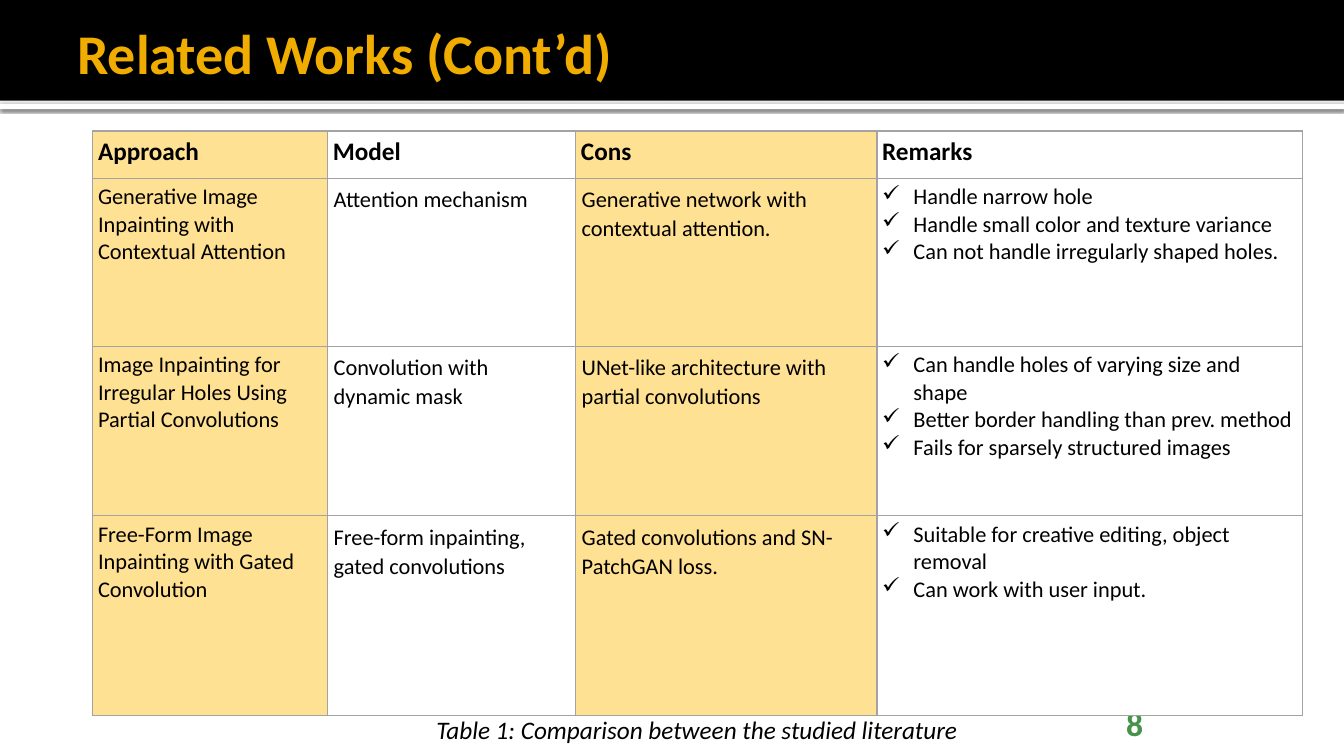
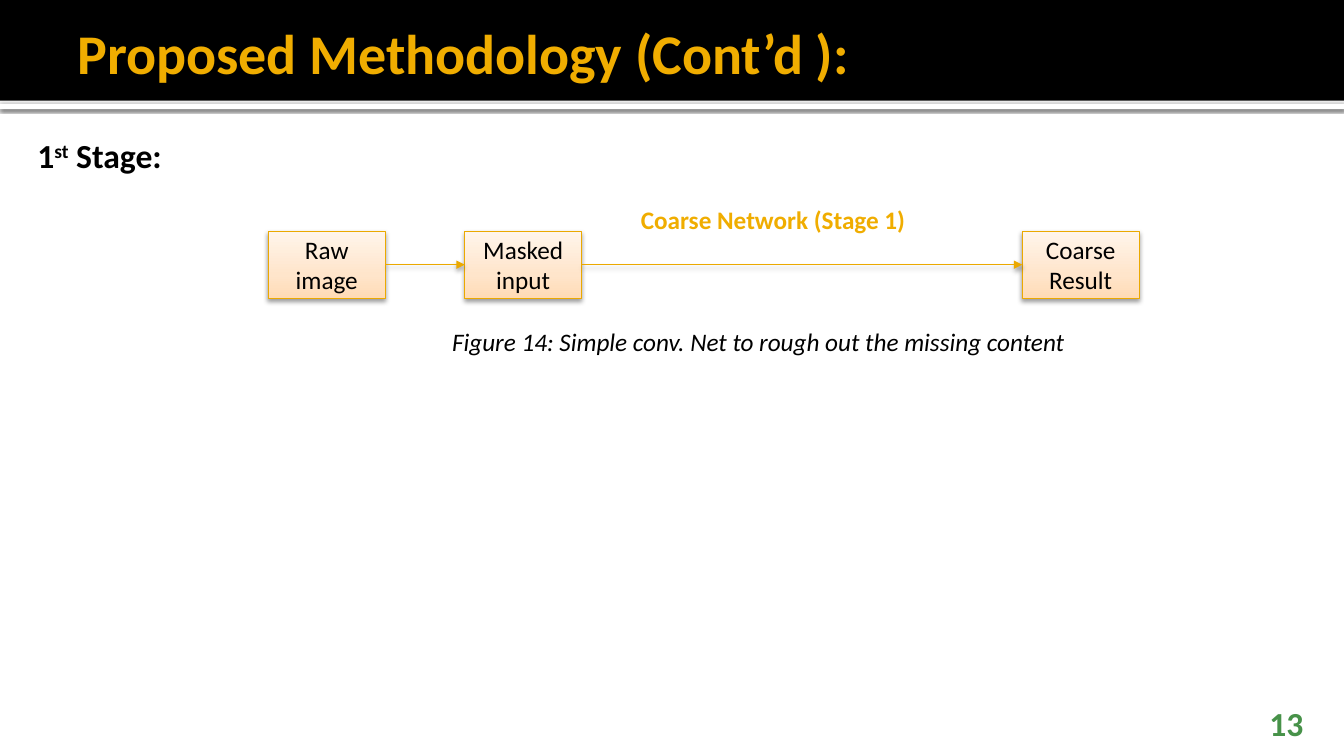
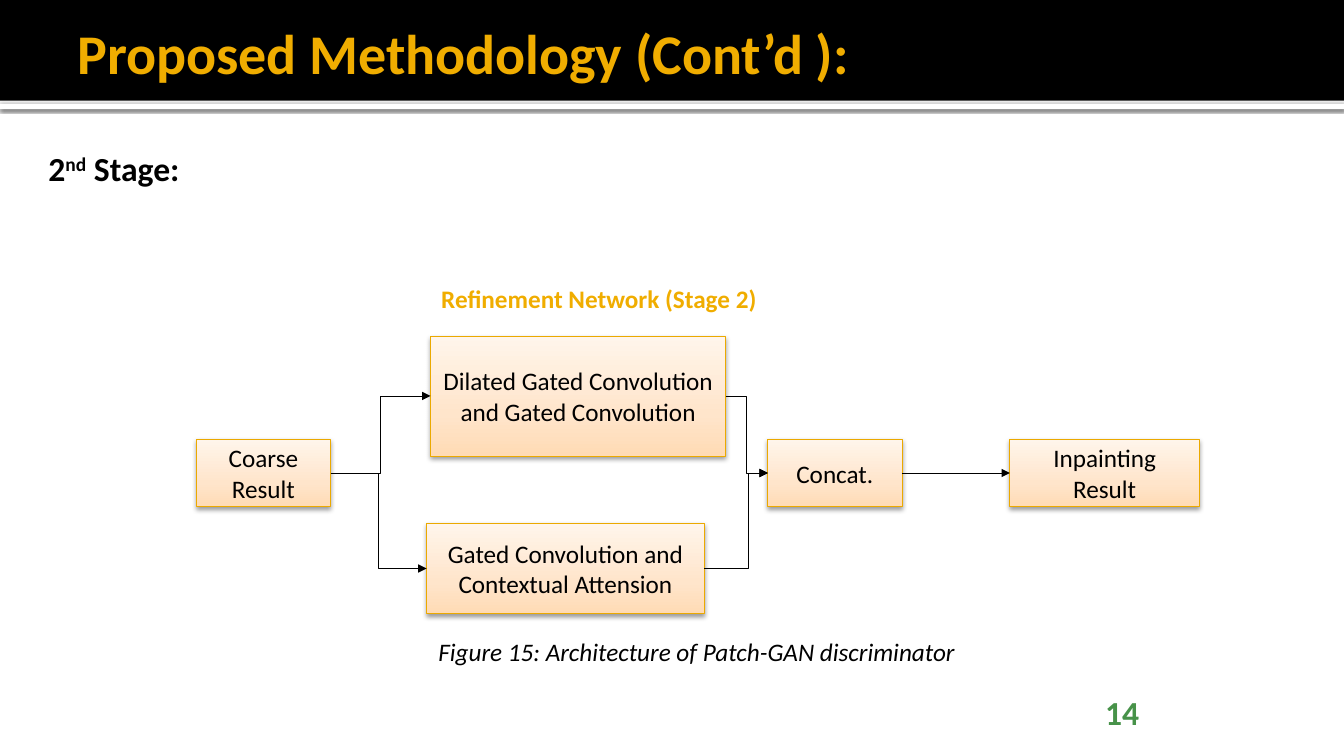
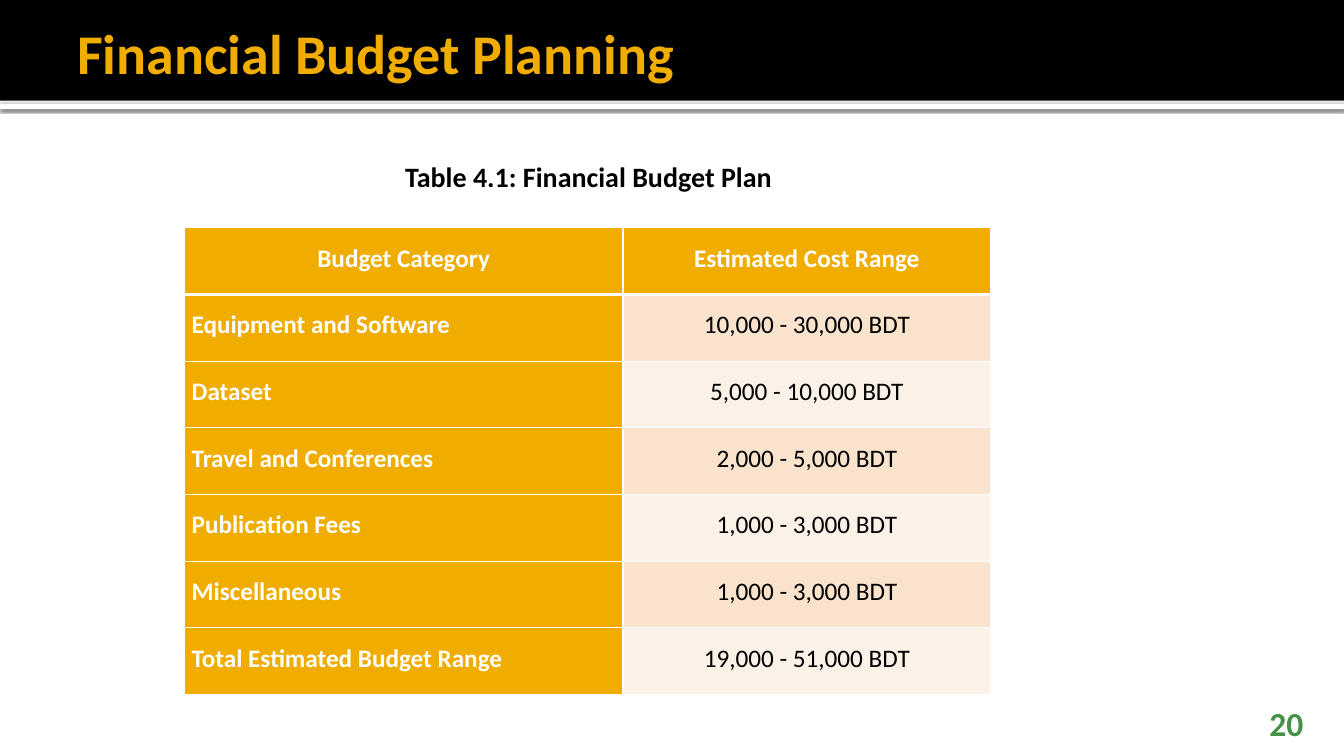
import copy
import pptx
import pptx.util
import pptx.dml.color
import pptx.enum.shapes
import pptx.enum.text
import pptx.oxml
import pptx.oxml.ns
from pptx.util import Cm, Pt

ALIGN = pptx.enum.text.PP_ALIGN
ANCHOR = pptx.enum.text.MSO_ANCHOR
SHAPE = pptx.enum.shapes.MSO_SHAPE
LINE = pptx.enum.shapes.MSO_CONNECTOR
qn = pptx.oxml.ns.qn


class Theme:
    font = "Calibri"
    gold, gold_line, black, white = "F0AD00", "EBA900", "000000", "FFFFFF"
    green, grid = "479249", "A3A3A3"
    column_fills = ["FFE193", "FFFFFF"]
    row_fills = ["F9E3CC", "FCF1E7"]
    box_stops = [(0, "FFDBB5"), (0.35, "FFE5CB"), (1, "FFF5EB")]
    strip_shadow = (60, 2.5, 0.8)
    box_shadow = (38, 3.5, 2)
    title, heading, caption, body, small = 40, 24, 20, 18, 16


RELATED_HEAD = ["Approach", "Model", "Cons", "Remarks"]
RELATED_ROWS = [
    (["Generative Image Inpainting with Contextual Attention"],
     ["Attention mechanism"],
     ["Generative network with contextual attention."],
     ["Handle narrow hole", "Handle small color and texture variance",
      "Can not handle irregularly shaped holes."]),
    (["Image Inpainting for Irregular Holes Using", "Partial Convolutions"],
     ["Convolution with dynamic mask"],
     ["UNet-like architecture with partial convolutions"],
     ["Can handle holes of varying size and shape",
      "Better border handling than prev. method",
      "Fails for sparsely structured images"]),
    (["Free-Form Image Inpainting with Gated Convolution"],
     ["Free-form inpainting, gated convolutions"],
     ["Gated convolutions and SN-PatchGAN loss."],
     ["Suitable for creative editing, object removal",
      "Can work with user input."]),
]
BUDGET = [
    ("Budget Category", "Estimated Cost Range"),
    ("Equipment and Software", "10,000 - 30,000 BDT"),
    ("Dataset", "5,000 - 10,000 BDT"),
    ("Travel and Conferences", "2,000 - 5,000 BDT"),
    ("Publication Fees", "1,000 - 3,000 BDT"),
    ("Miscellaneous", "1,000 - 3,000 BDT"),
    ("Total Estimated Budget Range", "19,000 - 51,000 BDT"),
]
COARSE_BOXES = {
    "Raw image": (6.76, 5.82, 2.95, 1.7),
    "Masked input": (11.71, 5.82, 2.95, 1.7),
    "Coarse Result": (25.76, 5.82, 2.95, 1.7),
}
COARSE_LINKS = [
    ("Raw image", "Masked input", None),
    ("Masked input", "Coarse Result", None),
]
DILATED = "Dilated Gated Convolution and Gated Convolution"
CONTEXT = "Gated Convolution and Contextual Attension"
REFINE_BOXES = {
    "Coarse Result": (4.95, 11.07, 3.38, 1.7),
    DILATED: (10.85, 8.47, 7.44, 3.02),
    CONTEXT: (10.75, 13.19, 7, 2.27),
    "Concat.": (19.35, 11.07, 3.38, 1.7),
    "Inpainting Result": (25.45, 11.07, 4.78, 1.7),
}
REFINE_LINKS = [
    ("Coarse Result", CONTEXT, 0.5),
    (DILATED, "Concat.", 0.5),
    (CONTEXT, "Concat.", 0.69),
    ("Concat.", "Inpainting Result", None),
    ("Coarse Result", DILATED, 0.5),
]

prs = pptx.Presentation()
prs.slide_width, prs.slide_height = Cm(33.87), Cm(19.05)


def rgb(value):
    return pptx.dml.color.RGBColor.from_string(value)


def child(parent, tag, **attrs):
    el = parent.makeelement(qn(tag), attrs)
    parent.append(el)
    return el


def style(p, size, color=Theme.black, bold=False, italic=False, align=ALIGN.LEFT, spacing=None):
    f = p.font
    f.name, f.size, f.bold, f.italic = Theme.font, Pt(size), bold, italic
    f.color.rgb = rgb(color)
    p.alignment = align
    if spacing:
        p.line_spacing = spacing


def write(tf, lines, size, **look):
    for i, line in enumerate(lines):
        p = tf.add_paragraph() if i else tf.paragraphs[0]
        p.add_run().text = line
        style(p, size, **look)


def margins(target, left, top, right, bottom):
    target.margin_left, target.margin_top = Cm(left), Cm(top)
    target.margin_right, target.margin_bottom = Cm(right), Cm(bottom)


def text_box(s, at, lines, size, wrap=True, grow=True, **look):
    tf = s.shapes.add_textbox(*map(Cm, at)).text_frame
    tf.word_wrap = wrap
    if grow:
        tf.auto_size = pptx.enum.text.MSO_AUTO_SIZE.SHAPE_TO_FIT_TEXT
    write(tf, lines, size, **look)
    return tf


def add_shadow(effects, alpha, blur, dist):
    shadow = child(effects, "a:outerShdw", blurRad=str(Pt(blur)), dist=str(Pt(dist)),
                   dir="5400000", algn="ctr", rotWithShape="0")
    color = child(shadow, "a:srgbClr", val=Theme.black)
    child(color, "a:alpha", val=str(alpha * 1000))


def rectangle(s, at, shadow=None):
    sp = s.shapes.add_shape(SHAPE.RECTANGLE, *map(Cm, at))
    sp.shadow.inherit = False
    if shadow:
        add_shadow(sp._element.spPr.find(qn("a:effectLst")), *shadow)
    return sp


def new_slide(title, number, number_at):
    s = prs.slides.add_slide(prs.slide_layouts[6])
    for at, color, shadow in [((0, 2.62, 33.87, 0.13), Theme.white, Theme.strip_shadow),
                              ((0, 0, 33.87, 2.54), Theme.black, None)]:
        sp = rectangle(s, at, shadow)
        sp.fill.solid()
        sp.fill.fore_color.rgb = rgb(color)
        sp.line.fill.background()
    tf = text_box(s, (1.7, 0.2, 30.48, 2.21), [title], Theme.title, grow=False,
                  color=Theme.gold, bold=True)
    tf.vertical_anchor = ANCHOR.MIDDLE
    margins(tf, 0.25, 0.13, 0.13, 0.13)
    tf = text_box(s, number_at, [str(number)], Theme.heading, grow=False,
                  color=Theme.green, bold=True, align=ALIGN.RIGHT)
    tf.vertical_anchor = ANCHOR.BOTTOM
    margins(tf, 0.25, 0.13, 0.25, 0)
    return s


def flow_box(s, label, at):
    sp = rectangle(s, at, Theme.box_shadow)
    sp.fill.gradient()
    sp.fill.gradient_angle = 90
    stops = sp._element.spPr.find(qn("a:gradFill")).find(qn("a:gsLst"))
    stops.insert(1, copy.deepcopy(stops[0]))
    for stop, (position, color) in zip(sp.fill.gradient_stops, Theme.box_stops):
        stop.position = position
        stop.color.rgb = rgb(color)
    sp.line.color.rgb = rgb(Theme.gold_line)
    sp.line.width = Pt(0.5)
    tf = sp.text_frame
    tf.word_wrap = True
    tf.vertical_anchor = ANCHOR.MIDDLE
    write(tf, [label], Theme.body, align=ALIGN.CENTER)
    return sp


def arrow(s, start, end, bend, color, shadow):
    cx = s.shapes.add_connector(LINE.ELBOW if bend else LINE.STRAIGHT, 0, 0, 0, 0)
    cx.begin_connect(start, 3)
    cx.end_connect(end, 1)
    cx.line.color.rgb = rgb(color)
    cx.line.width = Pt(0.5)
    child(cx.line._get_or_add_ln(), "a:tailEnd", type="triangle")
    spPr = cx._element.spPr
    effects = child(spPr, "a:effectLst")
    if shadow:
        add_shadow(effects, *shadow)
    if bend:
        guides = spPr.find(qn("a:prstGeom")).get_or_add_avLst()
        child(guides, "a:gd", name="adj1", fmla=f"val {round(bend * 100000)}")


def flow(s, boxes, links, color, shadow=None):
    made = {label: flow_box(s, label, at) for label, at in boxes.items()}
    for start, end, bend in links:
        arrow(s, made[start], made[end], bend, color, shadow)


def stage_heading(s, at, digit, suffix):
    tf = text_box(s, at, [digit], Theme.heading, bold=True, align=ALIGN.JUSTIFY, spacing=1.5)
    p = tf.paragraphs[0]
    p._p.get_or_add_pPr().set("marL", str(Cm(0.33)))
    r = p.add_run()
    r.text = suffix
    r.font._element.set("baseline", "30000")
    p.add_run().text = " Stage:"


def figure_caption(s, at, text):
    text_box(s, at, [text], Theme.body, italic=True, align=ALIGN.CENTER)


def network_label(s, at, text):
    text_box(s, at, [text], Theme.body, wrap=False, color=Theme.gold, bold=True)


def new_table(s, left, top, cols, rows):
    table = s.shapes.add_table(len(rows), len(cols), Cm(left), Cm(top),
                               Cm(sum(cols)), Cm(sum(rows))).table
    table.first_row = table.horz_banding = False
    for col, width in zip(table.columns, cols):
        col.width = Cm(width)
    for row, height in zip(table.rows, rows):
        row.height = Cm(height)
    return table


def dress_cell(cell, fill, border, widths=(1, 1, 1, 1)):
    tcPr = cell._tc.get_or_add_tcPr()
    for side, width in zip("LRTB", widths):
        ln = child(tcPr, f"a:ln{side}", w=str(Pt(width)))
        child(child(ln, "a:solidFill"), "a:srgbClr", val=border)
    cell.fill.solid()
    cell.fill.fore_color.rgb = rgb(fill)


def check_bullets(tf):
    for p in tf.paragraphs:
        pPr = p._p.get_or_add_pPr()
        pPr.set("marL", str(Cm(0.79)))
        pPr.set("indent", str(-Cm(0.79)))
        bullet = pPr.makeelement(qn("a:buChar"), {"char": "✓"})
        pPr.insert(list(pPr).index(pPr.find(qn("a:defRPr"))), bullet)


def related_works():
    s = new_slide("Related Works (Cont’d)", 8, (27.51, 17.98, 1.55, 0.76))
    figure_caption(s, (8.89, 17.88, 17.35, 1.02),
                   "Table 1: Comparison between the studied literature")
    table = new_table(s, 2.34, 3.3, [5.92, 6.25, 7.59, 10.72], [1.19, 4.24, 4.27, 5.03])
    rows = [[[head] for head in RELATED_HEAD]] + RELATED_ROWS
    for i, row in enumerate(rows):
        for j, lines in enumerate(row):
            cell = table.cell(i, j)
            loose = i > 0 and j in (1, 2)
            dress_cell(cell, Theme.column_fills[j % 2], Theme.grid)
            margins(cell, *[0.15 if loose else 0.13] * 4)
            write(cell.text_frame, lines, Theme.small if i else Theme.body,
                  bold=i == 0, spacing=1.07 if loose else None)
            if i and j == 3:
                check_bullets(cell.text_frame)


def coarse_stage():
    s = new_slide("Proposed Methodology (Cont’d ):", 13, (30.38, 17.98, 2.72, 0.76))
    stage_heading(s, (0.36, 2.77, 12.83, 3.15), "1", "st")
    flow(s, COARSE_BOXES, COARSE_LINKS, Theme.gold_line, Theme.box_shadow)
    network_label(s, (15.9, 5.03, 7.39, 1.02), "Coarse Network (Stage 1)")
    figure_caption(s, (8.23, 8.1, 21.77, 1.02),
                   "Figure 14: Simple conv. Net to rough out the missing content")


def refinement_stage():
    s = new_slide("Proposed Methodology (Cont’d ):", 14, (27.51, 17.7, 1.45, 0.76))
    flow(s, REFINE_BOXES, REFINE_LINKS, Theme.black)
    figure_caption(s, (5.05, 15.9, 25.02, 1.02),
                   "Figure 15: Architecture of Patch-GAN discriminator")
    stage_heading(s, (0.64, 3.1, 12.93, 1.63), "2", "nd")
    network_label(s, (10.87, 7.01, 8.69, 1.02), "Refinement Network (Stage 2)")


def budget():
    s = new_slide("Financial Budget Planning", 20, (30.38, 17.98, 2.72, 0.76))
    table = new_table(s, 4.65, 5.74, [11.05, 9.27], [1.68] * len(BUDGET))
    for i, row in enumerate(BUDGET):
        for j, text in enumerate(row):
            cell = table.cell(i, j)
            strong = i == 0 or j == 0
            dress_cell(cell, Theme.gold if strong else Theme.row_fills[(i - 1) % 2], Theme.white,
                       (1, 1, 3 if i == 1 else 1, 3 if i == 0 else 1))
            margins(cell, 0.18, 0, 0.18, 0)
            write(cell.text_frame, [text], Theme.body, bold=strong, spacing=1.5,
                  color=Theme.white if strong else Theme.black,
                  align=ALIGN.LEFT if i and j == 0 else ALIGN.CENTER)
    text_box(s, (9.96, 3.89, 10.16, 1.1), ["Table 4.1: Financial Budget Plan"],
             Theme.caption, bold=True)


def main():
    related_works()
    coarse_stage()
    refinement_stage()
    budget()
    prs.save("out.pptx")


if __name__ == "__main__":
    main()
